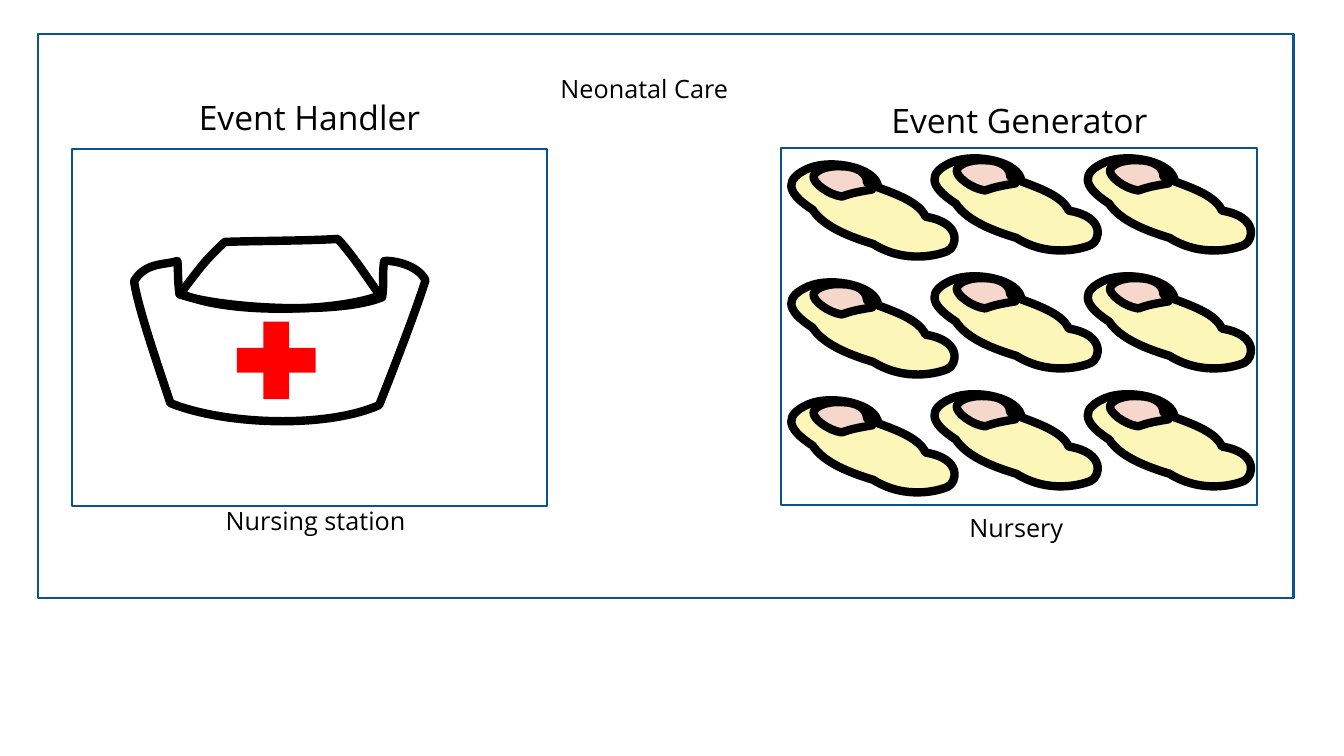
from pptx import Presentation
from pptx import util as u
from pptx.dml.color import RGBColor
from pptx.enum import shapes, text
from pptx.oxml.ns import qn
from lxml import etree

EMU_PER_PX = 9144  # 100 px to the inch
SLIDE_SIZE = (1333, 750)
FONT = "Open Sans"
COLORS = {"frame": "0B5292", "ink": "000000", "cross": "FF0000",
          "blanket": "FCF6B8", "face": "F5D7CC"}

# left, top, width, height
FRAMES = [(38, 34, 1245, 559), (71, 148, 472, 354), (775, 147, 472, 354)]
TITLE = ("Neonatal Care", (447, 68, 384, 40))
LABELS = [
    ("Nursing station", (121, 496, 384, 40), 18),
    ("Nursery", (816, 503, 384, 40), 18),
    ("Event Generator", (775, 94, 472, 50), 24),
    ("Event Handler", (71, 91, 472, 50), 24),
]

# Outlines: a start point, then Bézier curves (control, control, end)
CAP_BRIM = ((176, 259), [
    (164, 263, 144, 260, 133, 279), (136, 302, 154, 355, 169, 400),
    (224, 422, 324, 425, 376, 402), (390, 367, 413, 307, 422, 278),
    (414, 262, 388, 258, 381, 259), (379, 272, 381, 285, 379, 295),
    (335, 313, 219, 306, 178, 292), (176, 275, 177, 273, 176, 259)])
CAP_CROWN = ((179, 291), [
    (202, 261, 203, 259, 223, 240), (247, 239, 305, 239, 335, 237),
    (353, 257, 362, 273, 377, 293), (333, 310, 223, 312, 179, 291)])
CROSS = (235, 319, 78, 77)
CROSS_ADJUSTMENT = 0.34

# Baby outlines are relative to the baby's own corner
BLANKET = ((86, 23), [
    (105, 30, 127, 38, 133, 52), (170, 58, 164, 82, 155, 86),
    (146, 90, 113, 99, 81, 79), (58, 72, 32, 62, 21, 45),
    (-7, 27, -6, 14, 17, 4), (41, -6, 85, 4, 86, 23)])
FACE = ((80, 20), [
    (81, 21, 81, 23, 80, 25), (62, 28, 59, 29, 50, 32),
    (36, 30, 21, 18, 22, 12), (23, 7, 33, 1, 50, 2),
    (64, 2, 75, 8, 75, 18), (81, 18, 80, 19, 80, 20)])
BABY_COLUMNS = [(785, 163), (927, 157), (1079, 157)]
BABY_ROWS, ROW_PITCH = 3, 117


def px(length):
    return round(length * EMU_PER_PX)


def box(rect):
    return [px(length) for length in rect]


def paint(shape, fill=None, line=None, width=1.5):
    shape.shadow.inherit = False
    if fill:
        shape.fill.solid()
        shape.fill.fore_color.rgb = RGBColor.from_string(COLORS[fill])
    else:
        shape.fill.background()
    if line:
        shape.line.color.rgb = RGBColor.from_string(COLORS[line])
        shape.line.width = u.Pt(width)
        outline = shape._element.spPr.find(qn("a:ln"))
        etree.SubElement(outline, qn("a:round"))
    else:
        shape.line.fill.background()


def write(holder, wording, size=18, color="ink"):
    frame = holder.text_frame
    frame.word_wrap = True
    frame.auto_size = text.MSO_AUTO_SIZE.NONE
    frame.vertical_anchor = text.MSO_ANCHOR.TOP
    paragraph = frame.paragraphs[0]
    paragraph.alignment = text.PP_ALIGN.CENTER
    run = paragraph.add_run()
    run.text = wording
    run.font.name = FONT
    run.font.size = u.Pt(size)
    run.font.color.rgb = RGBColor.from_string(COLORS[color])


def bend(shape):
    """Turn each three straight segments into one cubic Bézier curve."""
    segments = list(shape._element.iter(qn("a:lnTo")))
    for curve, second, end in zip(*[iter(segments)] * 3):
        curve.tag = qn("a:cubicBezTo")
        for segment in (second, end):
            curve.append(segment[0])
            segment.getparent().remove(segment)


def draw_outline(group, outline, corner=(0, 0), fill=None):
    start, curves = outline
    points = [start] + [curve[i:i + 2] for curve in curves for i in (0, 2, 4)]
    points = [(px(x + corner[0]), px(y + corner[1])) for x, y in points]
    builder = group.shapes.build_freeform(*points[0], scale=1.0)
    builder.add_line_segments(points[1:], close=True)
    shape = builder.convert_to_shape()
    bend(shape)
    paint(shape, fill=fill, line="ink", width=6)


def main():
    deck = Presentation()
    deck.slide_width, deck.slide_height = box(SLIDE_SIZE)
    slide = deck.slides.add_slide(deck.slide_layouts[5])

    for rect in FRAMES:
        frame = slide.shapes.add_shape(shapes.MSO_SHAPE.RECTANGLE, *box(rect))
        paint(frame, line="frame")

    wording, rect = TITLE
    title = slide.shapes.title
    title.left, title.top, title.width, title.height = box(rect)
    write(title, wording)
    for wording, rect, size in LABELS:
        write(slide.shapes.add_textbox(*box(rect)), wording, size=size)

    cap = slide.shapes.add_group_shape()
    for outline in (CAP_BRIM, CAP_CROWN):
        draw_outline(cap, outline)
    cross = cap.shapes.add_shape(shapes.MSO_SHAPE.CROSS, *box(CROSS))
    cross.adjustments[0] = CROSS_ADJUSTMENT
    paint(cross, fill="cross")

    for row in range(BABY_ROWS):
        for left, top in BABY_COLUMNS:
            baby = slide.shapes.add_group_shape()
            corner = (left, top + row * ROW_PITCH)
            draw_outline(baby, BLANKET, corner, fill="blanket")
            draw_outline(baby, FACE, corner, fill="face")

    deck.save("out.pptx")


if __name__ == "__main__":
    main()
